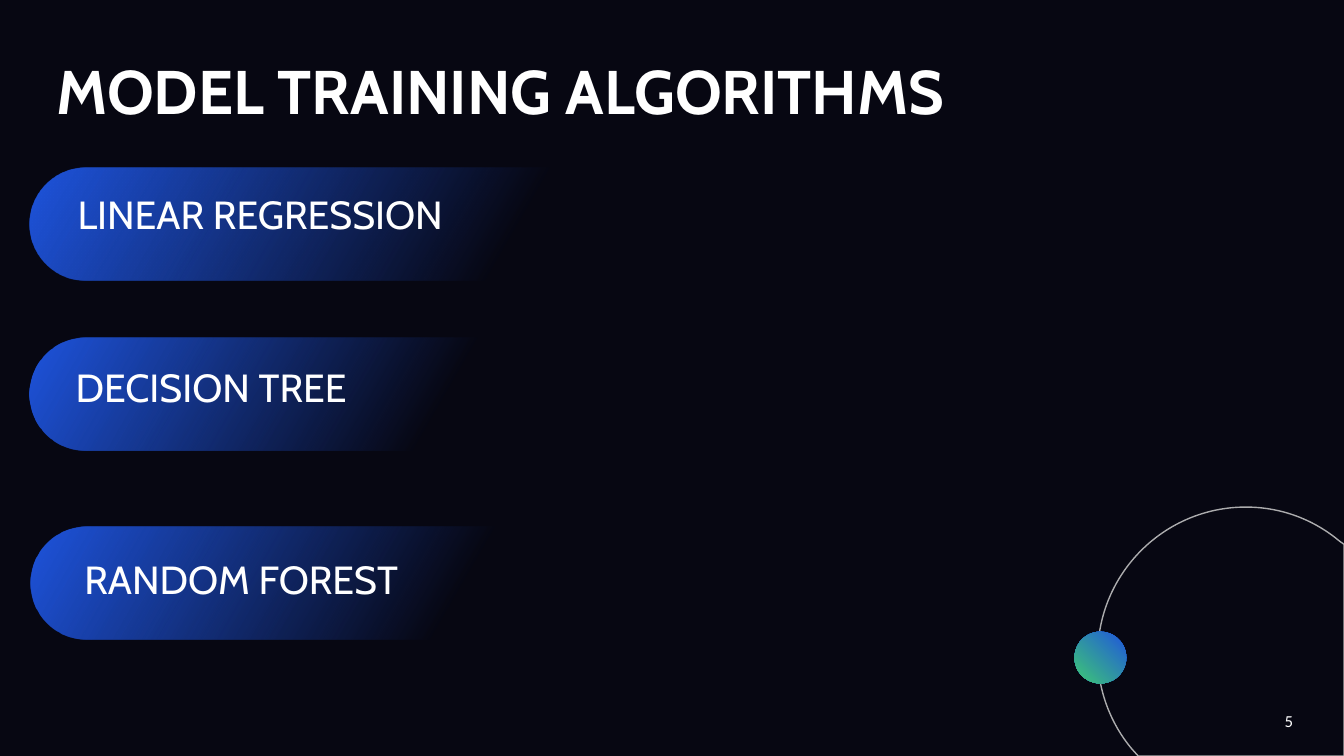
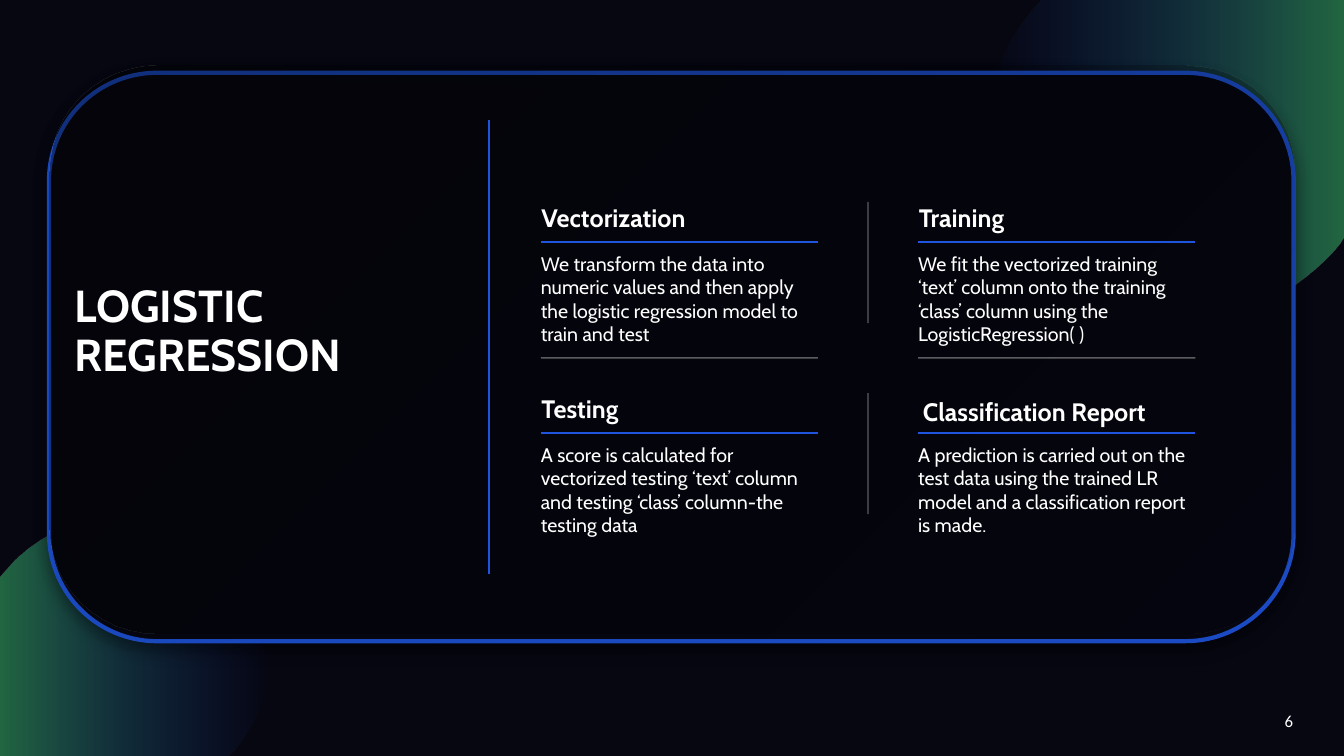
from dataclasses import dataclass
from typing import NamedTuple

from lxml.etree import SubElement
from pptx import Presentation
from pptx.dml.color import RGBColor
from pptx.enum.shapes import MSO_CONNECTOR, MSO_SHAPE
from pptx.enum.text import MSO_ANCHOR, PP_ALIGN
from pptx.oxml.ns import qn
from pptx.util import Pt


@dataclass(frozen=True)
class Theme:
    background: str = "070712"
    blue: str = "1F55DE"
    border: str = "1C4DC8"
    green: str = "3EC973"
    white: str = "FFFFFF"
    black: str = "000000"
    ring: str = "BFBFBF"
    font: str = "Cabin"
    number_font: str = "Calibri"
    title_size: int = 44
    panel_title_size: int = 32
    pill_size: int = 28
    heading_size: int = 18
    body_size: int = 14
    number_size: int = 12


class Box(NamedTuple):
    left: float
    top: float
    width: float
    height: float


class Stop(NamedTuple):
    position: int
    color: str
    opacity: int = 100


class Pill(NamedTuple):
    label: str
    box: Box
    text_left: float
    text_top: float


class Card(NamedTuple):
    heading: str
    body: str
    column: int
    row: int
    shift_x: float = 0
    shift_y: float = 0


THEME = Theme()
FADE_IN = [Stop(23, THEME.blue, 0), Stop(100, THEME.blue)]
GLOW = [Stop(0, THEME.blue, 0), Stop(100, THEME.green, 50)]
SHADE = [Stop(0, THEME.black, 35), Stop(100, THEME.black, 10)]

PILLS = [
    Pill("LINEAR REGRESSION", Box(21, 119.5, 437, 81), 55.4, 114),
    Pill("DECISION TREE", Box(21, 241, 370, 81), 54, 237.5),
    Pill("RANDOM FOREST", Box(22, 376, 384.5, 81), 60.3, 374.5),
]
CARDS = [
    Card("Vectorization", "We transform the data into numeric values and then apply "
         "the logistic regression model to train and test", 0, 0),
    Card("Training", "We fit the vectorized training ‘text’ column onto the training "
         "‘class’ column using the LogisticRegression( )", 1, 0),
    Card("Testing", "A score is calculated for vectorized testing ‘text’ column and "
         "testing ‘class’ column-the testing data", 0, 1),
    Card("Classification Report", "A prediction is carried out on the test data using "
         "the trained LR model and a classification report is made.", 1, 1, 3, 2),
]

RING = [
    [(960, 540)], [(813, 540)], [(808.5, 535)],
    [(793.4, 517), (784.1, 493.2), (784.1, 468)],
    [(784.1, 409.7), (831.6, 362.2), (889.9, 362.2)],
    [(915.8, 362.2), (938.9, 371.5), (956.9, 386.6)], [(960, 388.8)],
]
LEFT_BLOB = [
    [(0, 540)], [(162, 540)], [(167.8, 534.2)],
    [(184.3, 513.4), (194.4, 487.4), (194.4, 459.4)],
    [(194.4, 442.8), (190.8, 427.7), (185, 414)], [(182.2, 408.2)], [(175.7, 401)],
    [(154.8, 379.4), (125.3, 366.5), (92.9, 366.5)],
    [(56.9, 366.5), (23.8, 383), (2.9, 409)], [(0, 412.6)],
]
RIGHT_BLOB = [
    [(960, 0)], [(744.5, 0)], [(737.3, 7.9)],
    [(715, 35.3), (701.3, 69.8), (701.3, 107.3)],
    [(701.3, 128.9), (705.6, 149), (713.5, 167.8)], [(717.1, 175)], [(725.8, 185)],
    [(753.8, 213.1), (793.4, 230.4), (835.9, 230.4)],
    [(884.9, 230.4), (928.1, 208.8), (956.9, 174.2)], [(960, 169.2)],
]


def rgb(color: str) -> RGBColor:
    return RGBColor.from_string(color)


def add_color(parent, color: str, opacity: int) -> None:
    node = SubElement(parent, qn("a:srgbClr"), val=color)
    if opacity < 100:
        SubElement(node, qn("a:alpha"), val=str(opacity * 1000))


def set_gradient(shape, stops: list[Stop], angle: int) -> None:
    shape.fill.background()
    fill = shape._element.spPr.find(qn("a:noFill"))
    gradient = fill.makeelement(qn("a:gradFill"), {"rotWithShape": "1"})
    fill.getparent().replace(fill, gradient)
    stop_list = SubElement(gradient, qn("a:gsLst"))
    for stop in stops:
        node = SubElement(stop_list, qn("a:gs"), pos=str(stop.position * 1000))
        add_color(node, stop.color, stop.opacity)
    SubElement(gradient, qn("a:lin"), ang=str(angle * 60000), scaled="0")


def set_line(line, color: str, width: float, opacity: int = 100) -> None:
    line.width = Pt(width)
    line.color.rgb = rgb(color)
    if opacity < 100:
        node = line._ln.find(qn("a:solidFill")).find(qn("a:srgbClr"))
        SubElement(node, qn("a:alpha"), val=str(opacity * 1000))


def set_shadow(shape) -> None:
    effects = shape._element.spPr.find(qn("a:effectLst"))
    shadow = SubElement(effects, qn("a:outerShdw"), blurRad=str(Pt(12)),
                        dist=str(Pt(5)), dir=str(90 * 60000), rotWithShape="0")
    add_color(shadow, THEME.black, 40)


def add_preset(page, kind: MSO_SHAPE, box: Box, corner: float | None = None):
    shape = page.shapes.add_shape(kind, *map(Pt, box))
    shape.shadow.inherit = False
    shape.line.fill.background()
    if corner is not None:
        shape.adjustments[0] = corner
    return shape


def bend_segments(shape, segments: list) -> None:
    lines = iter(list(shape._element.spPr.iter(qn("a:lnTo"))))
    for segment in segments:
        group = [next(lines) for _ in segment]
        if len(group) == 1:
            continue
        curve = group[0].makeelement(qn("a:cubicBezTo"), {})
        group[0].addprevious(curve)
        for line in group:
            curve.append(line[0])
            line.getparent().remove(line)


def add_outline(page, segments: list):
    points = [(Pt(x), Pt(y)) for segment in segments for x, y in segment]
    builder = page.shapes.build_freeform(*points[0])
    builder.add_line_segments(points[1:], close=True)
    shape = builder.convert_to_shape()
    bend_segments(shape, segments[1:])
    shape.shadow.inherit = False
    shape.fill.background()
    shape.line.fill.background()
    return shape


def add_rule(page, start: tuple, end: tuple, color: str, width: float,
             opacity: int = 100) -> None:
    rule = page.shapes.add_connector(MSO_CONNECTOR.STRAIGHT, *map(Pt, start + end))
    set_line(rule.line, color, width, opacity)
    SubElement(rule._element.spPr, qn("a:effectLst"))


def add_text(page, text: str, box: Box, *, size: int, font: str = THEME.font,
             bold: bool = False, align: PP_ALIGN = PP_ALIGN.LEFT,
             anchor: MSO_ANCHOR = MSO_ANCHOR.MIDDLE, inset: bool = False,
             line_spacing: float | None = None, space_before: float = 0) -> None:
    frame = page.shapes.add_textbox(*map(Pt, box)).text_frame
    frame.word_wrap = True
    frame.vertical_anchor = anchor
    if not inset:
        frame.margin_left = frame.margin_right = Pt(0)
        frame.margin_top = frame.margin_bottom = Pt(0)
    for index, content in enumerate(text.split("\n")):
        para = frame.add_paragraph() if index else frame.paragraphs[0]
        para.alignment = align
        para.space_before = Pt(space_before)
        if line_spacing:
            para.line_spacing = line_spacing
        span = para.add_run()
        span.text = content
        span.font.name = font
        span.font.size = Pt(size)
        span.font.bold = bold
        span.font.color.rgb = rgb(THEME.white)


def add_title(page, text: str, box: Box, size: int) -> None:
    add_text(page, text, box, size=size, bold=True, inset=True, line_spacing=0.9)


def add_page(deck, number: int):
    page = deck.slides.add_slide(deck.slide_layouts[6])
    page.background.fill.solid()
    page.background.fill.fore_color.rgb = rgb(THEME.background)
    add_text(page, str(number), Box(714.7, 500.4, 216, 28.8), size=THEME.number_size,
             font=THEME.number_font, align=PP_ALIGN.RIGHT, inset=True)
    return page


def add_pill(page, pill: Pill) -> None:
    shape = add_preset(page, MSO_SHAPE.ROUNDED_RECTANGLE, pill.box, 0.5)
    set_gradient(shape, FADE_IN, 210)
    add_text(page, pill.label, Box(pill.text_left, pill.text_top, 317.5, 78),
             size=THEME.pill_size, space_before=6)


def add_card(page, card: Card) -> None:
    left = 386.3 + card.column * 269.5
    top = 144.3 + card.row * 136.5
    add_text(page, card.heading,
             Box(left + 0.5 + card.shift_x, top + card.shift_y, 196.5, 21.6),
             size=THEME.heading_size, bold=True)
    add_text(page, card.body, Box(left, top + 35.4, 199, 67), size=THEME.body_size,
             anchor=MSO_ANCHOR.TOP)
    add_rule(page, (left, top + 28.5), (left + 198, top + 28.5), THEME.blue, 1.5)
    if card.row == 0:
        add_rule(page, (left, top + 111.3), (left + 198, top + 111.3),
                 THEME.white, 1, 35)
    if card.column == 0:
        add_rule(page, (620, top), (620, top + 86.5), THEME.white, 1, 35)


def build_algorithms(deck) -> None:
    page = add_page(deck, 5)
    add_title(page, "MODEL TRAINING ALGORITHMS", Box(33, 28.4, 896, 78),
              THEME.title_size)
    for pill in PILLS:
        add_pill(page, pill)
    ring = add_outline(page, RING)
    set_line(ring.line, THEME.ring, 1, 90)
    dot = add_preset(page, MSO_SHAPE.OVAL, Box(767.5, 451.2, 37, 37))
    set_gradient(dot, [Stop(0, THEME.blue), Stop(100, THEME.green)], 135)


def build_regression(deck) -> None:
    page = add_page(deck, 6)
    for segments, angle in ((LEFT_BLOB, 180), (RIGHT_BLOB, 0)):
        set_gradient(add_outline(page, segments), GLOW, angle)
    panel = add_preset(page, MSO_SHAPE.ROUNDED_RECTANGLE, Box(35, 52, 889, 406), 0.19)
    panel.fill.solid()
    panel.fill.fore_color.rgb = rgb(THEME.background)
    set_line(panel.line, THEME.border, 3)
    set_shadow(panel)
    veil = add_preset(page, MSO_SHAPE.ROUNDED_RECTANGLE, Box(35.5, 46.8, 889, 406), 0.19)
    set_gradient(veil, SHADE, 45)
    set_shadow(veil)
    add_title(page, "LOGISTIC\nREGRESSION", Box(46, 198.4, 298, 78),
              THEME.panel_title_size)
    add_rule(page, (349.2, 85.7), (349.2, 409.7), THEME.blue, 1.5)
    for card in CARDS:
        add_card(page, card)


def main() -> None:
    deck = Presentation()
    deck.slide_width, deck.slide_height = Pt(960), Pt(540)
    build_algorithms(deck)
    build_regression(deck)
    deck.save("out.pptx")


if __name__ == "__main__":
    main()
